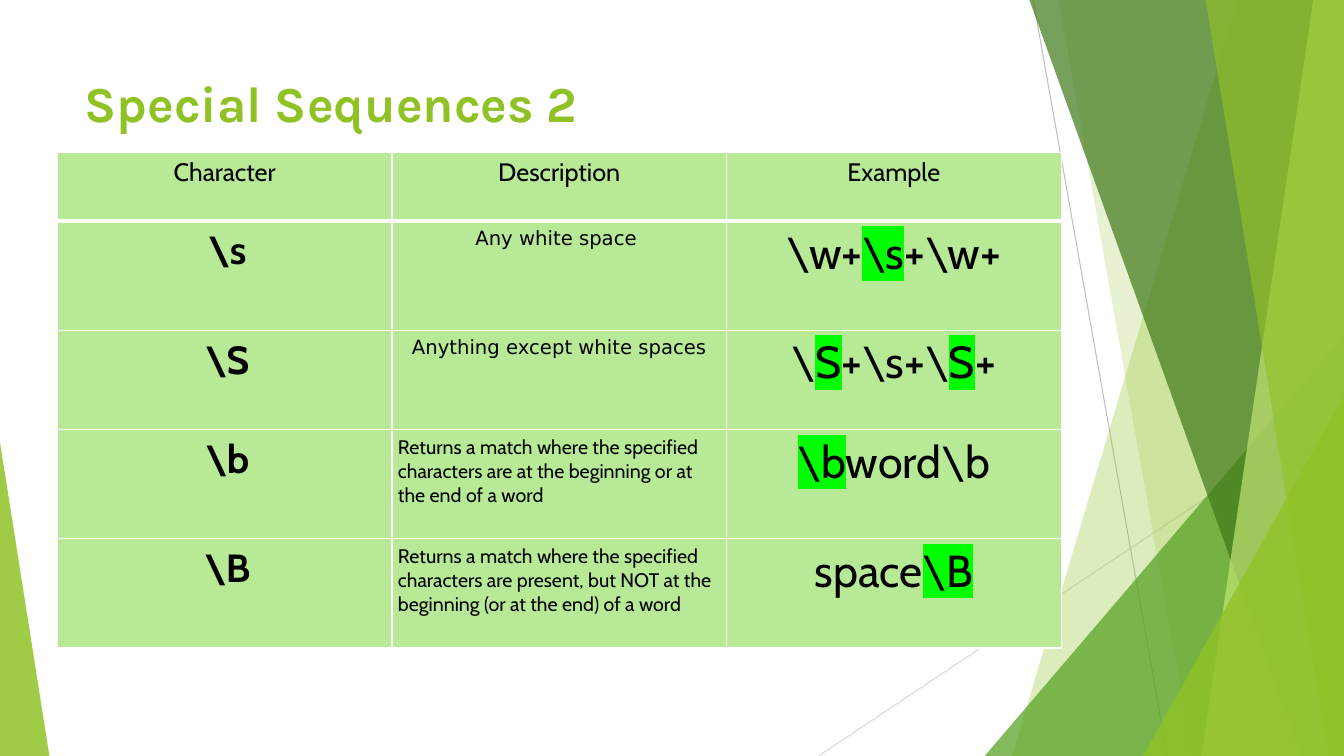
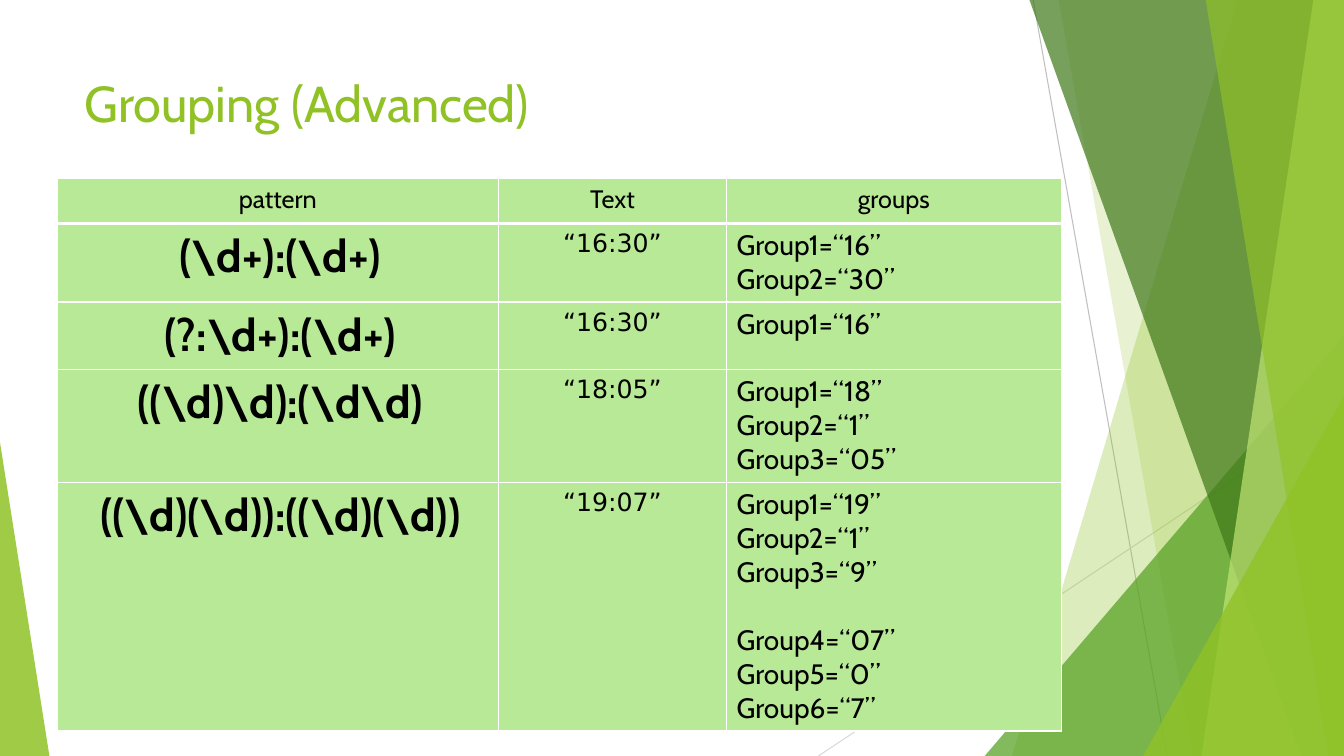
from dataclasses import dataclass

from lxml.etree import SubElement
from pptx import Presentation
from pptx.dml.color import RGBColor
from pptx.enum.shapes import MSO_CONNECTOR, MSO_SHAPE
from pptx.enum.text import MSO_ANCHOR, MSO_AUTO_SIZE, PP_ALIGN
from pptx.oxml.ns import qn
from pptx.util import Pt

WIDE, HIGH, EDGE = 960, 540, -0.7
LIME, PALE, MARK = "90C226", "B7E996", "00FF00"
BLACK, WHITE = "000000", "FFFFFF"
MID, LEFT = PP_ALIGN.CENTER, PP_ALIGN.LEFT


@dataclass(frozen=True)
class Ray:
    x1: float
    y1: float
    x2: float
    y2: float
    hue: str


@dataclass(frozen=True)
class Band:
    """Runs from the left edge given to the right side of the slide."""
    top: float
    base: float
    hue: str
    alpha: int


@dataclass(frozen=True)
class Wedge:
    x: float
    y: float
    width: float
    tip: int
    hue: str
    alpha: int


@dataclass(frozen=True)
class Look:
    name: str
    size: int
    bold: bool = False
    align: PP_ALIGN = MID
    inset: tuple = (7.2, 3.6, 7.2, 3.6)  # left, top, right, bottom


@dataclass(frozen=True)
class Row:
    height: float
    texts: tuple
    looks: tuple


@dataclass(frozen=True)
class Page:
    title: str
    face: str
    bold: bool
    top: float
    cols: tuple
    rows: tuple


# Backdrop, from back to front
DECOR = (
    Ray(738, 0, 833.8, HIGH, "BFBFBF"),
    Ray(WIDE, 290, 584.6, HIGH, "D9D9D9"),
    Band(884.2, 722.9, LIME, 30),
    Band(756, 851.8, LIME, 20),
    Wedge(703.4, 239.8, 256.6, 1, "54A021", 72),
    Band(735.1, 929.5, "3F7819", 70),
    Band(938.2, 858.2, "C0E474", 70),
    Band(861.1, 949, LIME, 65),
    Wedge(816.5, 283, 143.5, 1, LIME, 80),
    Wedge(0, 316, 35.3, 0, LIME, 85),
)

# Cell looks
SLIM = (4.3, 4.3, 4.3, 4.3)
KEY = (8, 4.3, 4.3, 4.3)
HEAD = Look("Cabin", 18)
SIGN = Look("Cabin", 28, True, inset=KEY)
TERM = Look("Cabin", 32, True, inset=KEY)
NOTE = Look("DejaVu Sans", 14, inset=SLIM)
TIME = Look("DejaVu Sans", 18, inset=SLIM)
PROSE = Look("Cabin", 14, align=LEFT, inset=SLIM)
CODE = Look("Cabin", 32)
LIST = Look("Cabin", 20, align=LEFT)
TOP = (HEAD,) * 3
SHORT = (SIGN, NOTE, CODE)
LONG = (SIGN, PROSE, CODE)
GROUP = (TERM, TIME, LIST)

# In a cell, bars enclose marked text; an empty line widens the gap
PAGES = (
    Page("Special Sequences 2", "Karla", True, 109, (239, 239, 239), (
        Row(49, ("Character", "Description", "Example"), TOP),
        Row(78, (r"\s", "Any white space ", r"\w+|\s|+\w+"), SHORT),
        Row(71, (r"\S", "Anything except white spaces",
                 r"\|S|+\s+\|S|+"), SHORT),
        Row(78, (r"\b", "Returns a match where the specified characters "
                 "are at the beginning or at the end of a word",
                 r"|\b|word\b"), LONG),
        Row(78, (r"\B", "Returns a match where the specified characters "
                 "are present, but NOT at the beginning (or at the end) "
                 "of a word", r"space|\B|"), LONG),
    )),
    Page("Grouping (Advanced)", "Cabin", False, 127.7, (315, 163, 239), (
        Row(32, ("pattern", "Text", "groups"), TOP),
        Row(56, (r"(\d+):(\d+)", "“16:30”",
                 "Group1=“16”\nGroup2=“30”"), GROUP),
        Row(48, (r"(?:\d+):(\d+)", "“16:30”", "Group1=“16”"), GROUP),
        Row(81, (r"((\d)\d):(\d\d)", "“18:05”",
                 "Group1=“18”\nGroup2=“1”\nGroup3=“05”"), GROUP),
        Row(177, (r"((\d)(\d)):((\d)(\d))", "“19:07”",
                  "Group1=“19”\nGroup2=“1”\nGroup3=“9”\n\n"
                  "Group4=“07”\nGroup5=“0”\nGroup6=“7”"), GROUP),
    )),
)


def ink(hue: str) -> RGBColor:
    return RGBColor.from_string(hue)


def style(font, name: str, size: int, bold: bool, hue: str) -> None:
    for key, val in {"name": name, "size": Pt(size), "bold": bold}.items():
        setattr(font, key, val)
    font.color.rgb = ink(hue)


def tint(shape, hue: str, alpha: int) -> None:
    shape.shadow.inherit = False
    shape.line.fill.background()
    shape.fill.solid()
    shape.fill.fore_color.rgb = ink(hue)
    tone = shape.element.spPr.find(".//" + qn("a:srgbClr"))
    SubElement(tone, qn("a:alpha"), val=str(alpha * 1000))


def draw(shapes, item):
    """Draw one part of the backdrop."""
    if isinstance(item, Ray):
        ends = [Pt(v) for v in (item.x1, item.y1, item.x2, item.y2)]
        line = shapes.add_connector(MSO_CONNECTOR.STRAIGHT, *ends)
        line.line.color.rgb = ink(item.hue)
        line.line.width = Pt(0.75)
        SubElement(line.element.spPr, qn("a:effectLst"))
        return line
    if isinstance(item, Band):
        form = shapes.build_freeform(Pt(item.top), Pt(EDGE))
        rest = ((WIDE, EDGE), (WIDE, HIGH), (item.base, HIGH))
        form.add_line_segments([(Pt(x), Pt(y)) for x, y in rest])
        shape = form.convert_to_shape()
    else:
        shape = shapes.add_shape(
            MSO_SHAPE.ISOSCELES_TRIANGLE, Pt(item.x), Pt(item.y),
            Pt(item.width), Pt(HIGH - item.y))
        shape.adjustments[0] = item.tip
    tint(shape, item.hue, item.alpha)
    return shape


def share(slide, master) -> None:
    """Draw the backdrop and move it to the master, behind its text."""
    tree = master.shapes.element
    for num, item in enumerate(DECOR):
        part = draw(slide.shapes, item).element
        part.find(".//" + qn("p:cNvPr")).set("id", str(100 + num))
        tree.insert(2 + num, part)


def rule(cell, row: int) -> None:
    """White cell borders, thick below the header."""
    props = cell._tc.get_or_add_tcPr()
    sides = {"L": 1, "R": 1, "T": 3 if row == 1 else 1,
             "B": 3 if row == 0 else 1}
    for side, width in sides.items():
        line = SubElement(props, qn("a:ln" + side), w=str(Pt(width)))
        fill = SubElement(line, qn("a:solidFill"))
        SubElement(fill, qn("a:srgbClr"), val=WHITE)


def write(cell, text: str, look: Look) -> None:
    for side, val in zip(("left", "top", "right", "bottom"), look.inset):
        setattr(cell, "margin_" + side, Pt(val))
    frame = cell.text_frame
    para, gap = frame.paragraphs[0], 0
    for num, line in enumerate(text.split("\n")):
        if not line:
            gap = look.size * 1.2
            continue
        if num:
            para = frame.add_paragraph()
        para.alignment = look.align
        para.space_before, gap = Pt(gap), 0
        for part, piece in enumerate(line.split("|")):
            if not piece:
                continue
            run = para.add_run()
            run.text = piece
            style(run.font, look.name, look.size, look.bold, BLACK)
            if part % 2:
                props = run._r.get_or_add_rPr()
                mark = SubElement(props, qn("a:highlight"))
                SubElement(mark, qn("a:srgbClr"), val=MARK)
                props.find(qn("a:solidFill")).addnext(mark)


def fill(slide, page: Page) -> None:
    """Write the title and the table of a page."""
    title = slide.shapes.title
    title.text = page.title
    para = title.text_frame.paragraphs[0]
    para.alignment = LEFT
    style(para.runs[0].font, page.face, 36, page.bold, LIME)

    tall = sum(row.height for row in page.rows)
    table = slide.shapes.add_table(
        len(page.rows), len(page.cols), Pt(41), Pt(page.top),
        Pt(sum(page.cols)), Pt(tall)).table
    for col, width in zip(table.columns, page.cols):
        col.width = Pt(width)
    for num, row in enumerate(page.rows):
        table.rows[num].height = Pt(row.height)
        for col, (text, look) in enumerate(zip(row.texts, row.looks)):
            cell = table.cell(num, col)
            rule(cell, num)
            cell.fill.solid()
            cell.fill.fore_color.rgb = ink(PALE)
            write(cell, text, look)


def main() -> None:
    deck = Presentation()
    deck.slide_width, deck.slide_height = Pt(WIDE), Pt(HIGH)
    base = deck.slide_layouts[5]

    # Shared title place
    for num, page in enumerate(PAGES):
        slide = deck.slides.add_slide(base)
        if num == 0:
            share(slide, deck.slide_master)
        title = slide.shapes.title
        box = {"left": 53.3, "top": 48.2, "width": 677, "height": 103.7}
        for key, val in box.items():
            setattr(title, key, Pt(val))
        title.text_frame.auto_size = MSO_AUTO_SIZE.NONE
        title.text_frame.vertical_anchor = MSO_ANCHOR.TOP
        fill(slide, page)
    deck.save("out.pptx")


if __name__ == "__main__":
    main()
